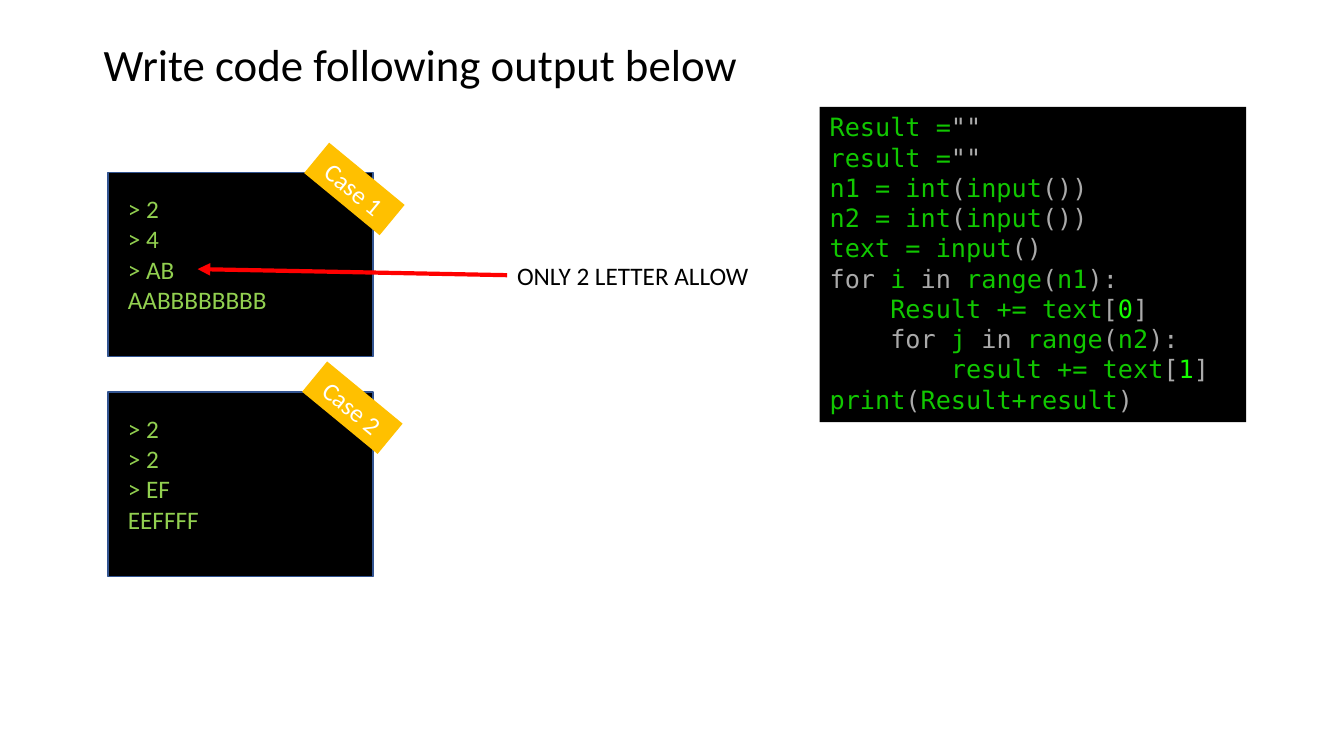
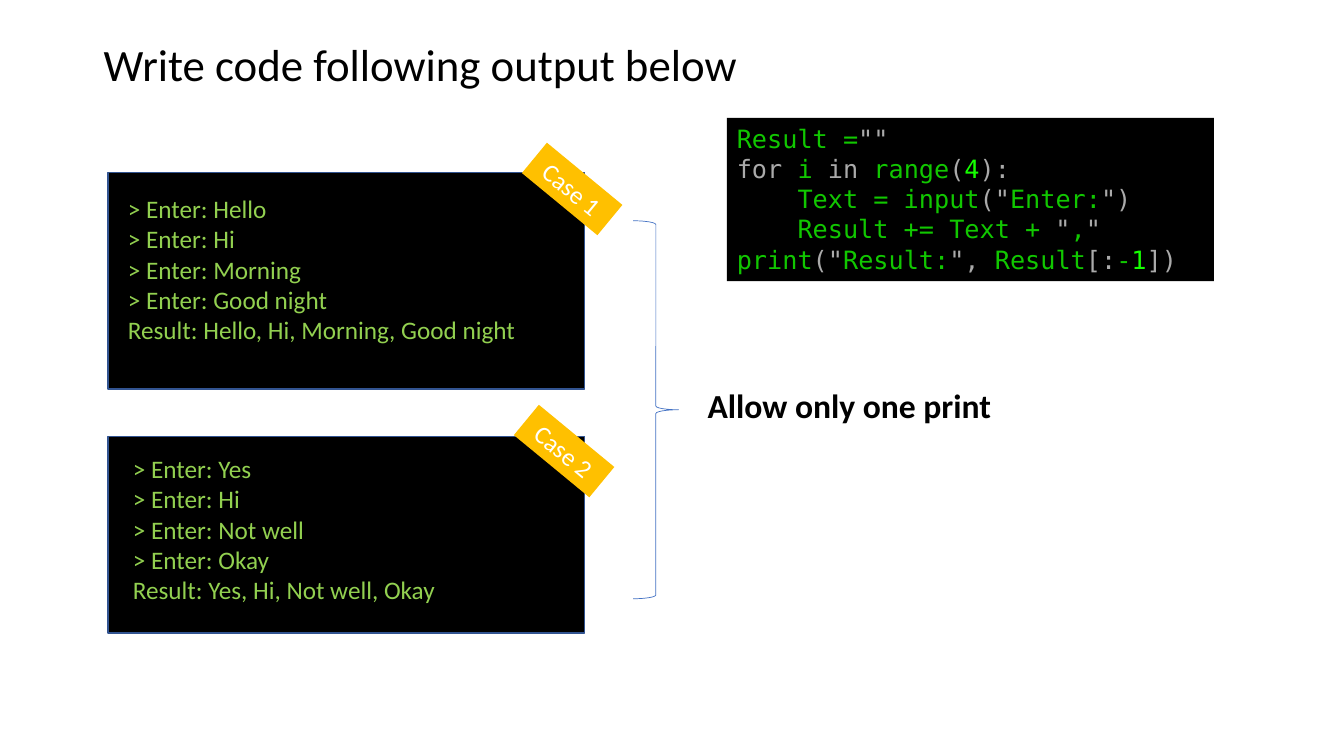
import itertools
from dataclasses import dataclass

import lxml.etree
import pptx
import pptx.dml.color
import pptx.enum.shapes
import pptx.enum.text
import pptx.oxml.ns
import pptx.util

Inches = pptx.util.Inches
SHAPE = pptx.enum.shapes.MSO_SHAPE
ANCHOR = pptx.enum.text.MSO_ANCHOR
ALIGN = pptx.enum.text.PP_ALIGN


@dataclass(frozen=True)
class Theme:
    text_font: str = "Calibri"
    code_font: str = "DejaVu Sans Mono"
    title_size: int = 32
    callout_size: int = 24
    body_size: int = 18
    ink: str = "000000"
    screen: str = "000000"
    screen_border: str = "325491"
    screen_text: str = "92D050"
    tag: str = "FFC000"
    tag_text: str = "FFFFFF"
    arrow: str = "FF0000"
    brace: str = "4472C4"
    code_name: str = "11C700"
    code_mark: str = "AAAAAA"
    code_number: str = "15FF00"


def rgb(colour):
    return pptx.dml.color.RGBColor.from_string(colour)


class Builder:
    def __init__(self, deck, theme):
        self.deck = deck
        self.theme = theme
        self.page = None

    def new_page(self, title):
        self.page = self.deck.slides.add_slide(self.deck.slide_layouts[6])
        self.text([title], 0.93, 0.32, 6.55, 0.64, self.theme.title_size)

    def style(self, span, colour, size=None, font=None, bold=False):
        span.font.name = font or self.theme.text_font
        span.font.size = pptx.util.Pt(size or self.theme.body_size)
        span.font.color.rgb = rgb(colour)
        span.font.bold = bold

    def text(self, lines, left, top, width, height, size=None, colour=None, bold=False):
        box = self.page.shapes.add_textbox(
            Inches(left), Inches(top), Inches(width), Inches(height))
        box.text_frame.word_wrap = False
        box.text_frame.text = "\n".join(lines)
        for para in box.text_frame.paragraphs:
            for span in para.runs:
                self.style(span, colour or self.theme.ink, size, bold=bold)

    def shape(self, kind, left, top, width, height, fill=None, line=None, weight=1):
        shape = self.page.shapes.add_shape(
            kind, Inches(left), Inches(top), Inches(width), Inches(height))
        shape.shadow.inherit = False
        if fill:
            shape.fill.solid()
            shape.fill.fore_color.rgb = rgb(fill)
        else:
            shape.fill.background()
        if line:
            shape.line.color.rgb = rgb(line)
            shape.line.width = pptx.util.Pt(weight)
        else:
            shape.line.fill.background()
        return shape

    def screen(self, lines, top, width, height, text_at, text_size):
        self.shape(SHAPE.RECTANGLE, 1.07, top, width, height,
                   self.theme.screen, self.theme.screen_border)
        self.text(lines, *text_at, *text_size, colour=self.theme.screen_text)

    def tag(self, label, left, top):
        tag = self.shape(SHAPE.RECTANGLE, left, top, 0.97, 0.39, self.theme.tag)
        tag.rotation = 39.5
        frame = tag.text_frame
        frame.text = label
        frame.vertical_anchor = ANCHOR.MIDDLE
        frame.paragraphs[0].alignment = ALIGN.CENTER
        self.style(frame.paragraphs[0].runs[0], self.theme.tag_text)

    def arrow(self, start, end):
        arrow = self.page.shapes.add_connector(
            pptx.enum.shapes.MSO_CONNECTOR.STRAIGHT,
            *(Inches(value) for value in start + end))
        arrow.line.color.rgb = rgb(self.theme.arrow)
        arrow.line.width = pptx.util.Pt(3)
        name = pptx.oxml.ns.qn
        outline = arrow.line._get_or_add_ln()
        lxml.etree.SubElement(outline, name("a:tailEnd"), type="triangle")
        lxml.etree.SubElement(arrow._element.spPr, name("a:effectLst"))

    def brace(self, left, top, width, height):
        self.shape(SHAPE.RIGHT_BRACE, left, top, width, height,
                   line=self.theme.brace, weight=0.5)

    def highlight(self, line):
        """Yield (text, colour) pieces of one line of code."""
        tokens, quoted = [], False
        for kind, letters in itertools.groupby(
                line, lambda letter: "word" if letter.isalnum() else letter):
            token = "".join(letters)
            colour = self.theme.code_name
            if kind == '"':
                quoted ^= len(token) % 2 == 1
                colour = self.theme.code_mark
            elif not quoted and (token in ("for", "in") or kind in "()[]:,"):
                colour = self.theme.code_mark
            elif not quoted and token.isdigit():
                colour = self.theme.code_number
            tokens.append((token, colour))
        for colour, group in itertools.groupby(tokens, lambda token: token[1]):
            yield "".join(token for token, _ in group), colour

    def code(self, source, left, top, width, height):
        panel = self.shape(SHAPE.RECTANGLE, left, top, width, height, self.theme.screen)
        frame = panel.text_frame
        frame.word_wrap = True
        frame.vertical_anchor = ANCHOR.TOP
        for number, line in enumerate(source):
            para = frame.add_paragraph() if number else frame.paragraphs[0]
            para.alignment = ALIGN.LEFT
            # Non-breaking spaces keep the code indentation
            for piece, colour in self.highlight(line.replace("  ", "\u00a0 ")):
                span = para.add_run()
                span.text = piece
                self.style(span, colour, font=self.theme.code_font)


deck = pptx.Presentation()
deck.slide_width, deck.slide_height = Inches(13.33), Inches(7.5)
theme = Theme()
builder = Builder(deck, theme)
TITLE = "Write code following output below"

# Slide 1: repeated letters
builder.new_page(TITLE)
builder.screen(["> 2", "> 4", "> AB", "AABBBBBBBB"],
               1.71, 2.63, 1.83, (1.17, 1.87), (1.59, 1.31))
builder.screen(["> 2", "> 2", "> EF", "EEFFFF"],
               3.89, 2.63, 1.83, (1.17, 4.05), (0.91, 1.31))
builder.tag("Case 1", 3.03, 1.68)
builder.tag("Case 2", 3.01, 3.85)
builder.text(["ONLY 2 LETTER ALLOW"], 5.03, 2.53, 2.52, 0.4)
builder.arrow((5.03, 2.73), (1.96, 2.67))
builder.code([
    'Result =""',
    'result =""',
    "n1 = int(input())",
    "n2 = int(input())",
    "text = input()",
    "for i in range(n1):",
    "    Result += text[0]",
    "    for j in range(n2):",
    "        result += text[1]",
    "print(Result+result)",
], 8.13, 1.06, 4.23, 3.13)

# Slide 2: joined words
builder.new_page(TITLE)
builder.screen(["> Enter: Hello", "> Enter: Hi", "> Enter: Morning",
                "> Enter: Good night", "Result: Hello, Hi, Morning, Good night"],
               1.71, 4.73, 2.15, (1.17, 1.87), (4.09, 1.62))
builder.screen(["> Enter: Yes", "> Enter: Hi", "> Enter: Not well",
                "> Enter: Okay", "Result: Yes, Hi, Not well, Okay"],
               4.33, 4.73, 1.95, (1.22, 4.45), (3.23, 1.62))
builder.tag("Case 1", 5.19, 1.68)
builder.tag("Case 2", 5.11, 4.28)
builder.brace(6.28, 2.19, 0.45, 3.75)
builder.text(["Allow only one print"], 6.92, 3.77, 3.04, 0.5,
             theme.callout_size, bold=True)
builder.code([
    'Result =""',
    "for i in range(4):",
    '    Text = input("Enter:")',
    '    Result += Text + ","',
    'print("Result:", Result[:-1])',
], 7.21, 1.17, 4.83, 1.62)

deck.save("out.pptx")
